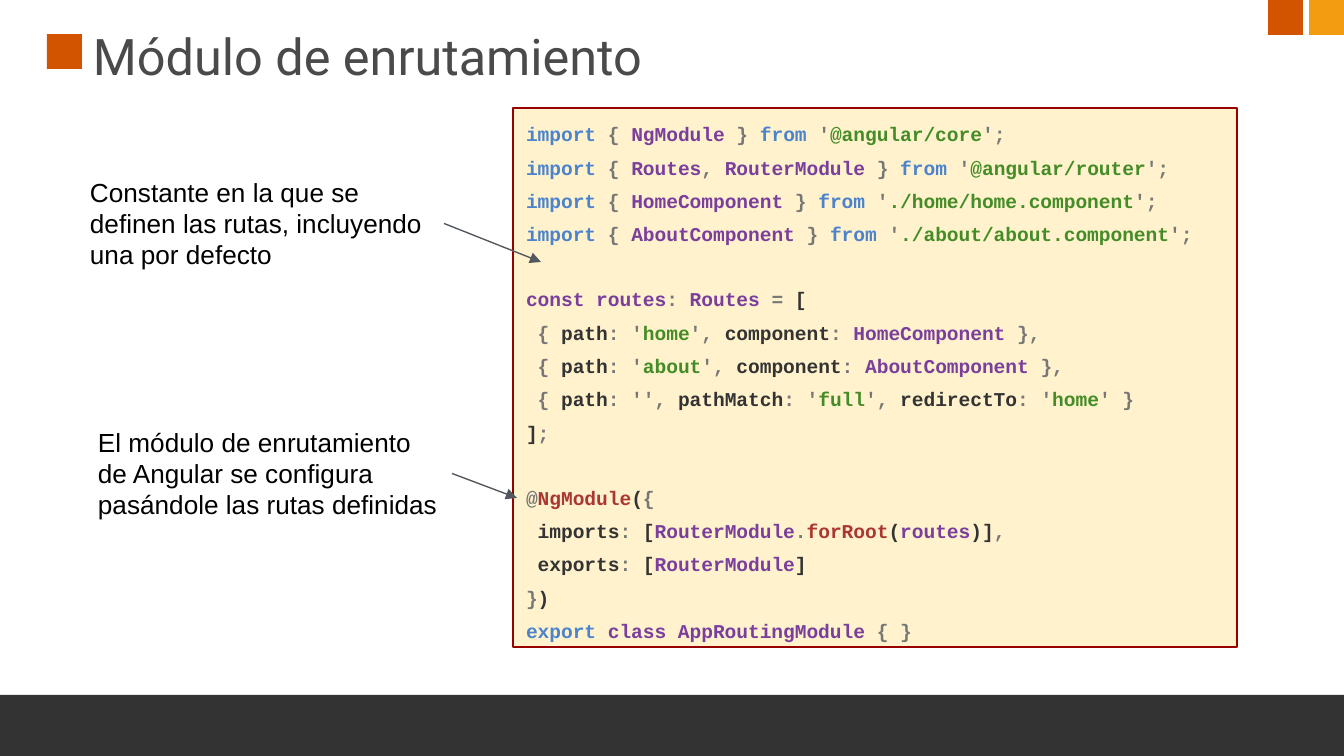
from pptx import Presentation
from pptx.dml.color import RGBColor
from pptx.enum.shapes import MSO_CONNECTOR, MSO_SHAPE
from pptx.enum.text import MSO_ANCHOR, MSO_AUTO_SIZE, PP_ALIGN
from pptx.oxml.ns import qn
from pptx.util import Emu, Pt
from lxml.etree import SubElement

ORANGE, AMBER, DARK = "D35400", "F39C12", "333333"
KEY, NAME, STRING, CALL, MARK = "4B83CD", "7A3E9D", "448C27", "AA3731", "777777"
CODE_SIZE, CODE_SPACING, CODE_GAP = 10.5, 1.42, 17


def px(n):
    """Turn pixels into EMU."""
    return Emu(round(n * 914400 / 134.4))


def rgb(value):
    """Turn a hex string into a colour."""
    return RGBColor.from_string(value)


def add_run(p, text, font="Arial", size=14, color="000000", bold=False):
    """Append a formatted run to a paragraph."""
    r = p.add_run()
    r.text = text
    r.font.name = font
    r.font.size = Pt(size)
    r.font.bold = bold
    r.font.color.rgb = rgb(color)


def set_frame(tf, inset, anchor):
    """Set wrapping, insets and anchor of a text frame."""
    tf.word_wrap = True
    tf.auto_size = MSO_AUTO_SIZE.NONE
    tf.vertical_anchor = anchor
    tf.margin_left = tf.margin_right = tf.margin_top = tf.margin_bottom = px(inset)


def add_rect(s, x, y, w, h, fill, line=None):
    """Add a flat rectangle, outlined if a line colour is given."""
    sp = s.shapes.add_shape(MSO_SHAPE.RECTANGLE, px(x), px(y), px(w), px(h))
    sp.shadow.inherit = False
    sp.fill.solid()
    sp.fill.fore_color.rgb = rgb(fill)
    if line:
        sp.line.color.rgb = rgb(line)
        sp.line.width = Pt(0.75)
    else:
        sp.line.fill.background()
    return sp


def set_title(s, text):
    """Place and format the title placeholder."""
    sp = s.shapes.title
    sp.left, sp.top, sp.width, sp.height = px(85), px(16), px(1152), px(79)
    set_frame(sp.text_frame, 8, MSO_ANCHOR.MIDDLE)
    p = sp.text_frame.paragraphs[0]
    p.alignment = PP_ALIGN.LEFT
    add_run(p, text, font="Roboto", size=27, color="4A4A4A")


def add_note(s, x, y, text, tip):
    """Add a note with an arrow from its right side to the tip."""
    sp = s.shapes.add_textbox(px(x), px(y), px(367), px(121))
    set_frame(sp.text_frame, 13, MSO_ANCHOR.TOP)
    add_run(sp.text_frame.paragraphs[0], text)
    arrow = s.shapes.add_connector(MSO_CONNECTOR.STRAIGHT, 0, 0, px(tip[0]), px(tip[1]))
    arrow.begin_connect(sp, 3)
    arrow.line.color.rgb = rgb("53585F")
    arrow.line.width = Pt(0.75)
    SubElement(arrow.line._get_or_add_ln(), qn("a:tailEnd"), type="triangle")
    SubElement(arrow._element.spPr, qn("a:effectLst"))


def import_line(names, source):
    """Return the coloured pieces of an import statement."""
    pieces = [("import ", KEY), ("{ ", MARK)]
    for i, name in enumerate(names):
        if i:
            pieces.append((", ", MARK))
        pieces.append((name, NAME))
    return pieces + [(" } ", MARK), ("from ", KEY), ("'", MARK), (source, STRING), ("';", MARK)]


def route_line(route, component):
    """Return the coloured pieces of a route entry."""
    return [(" {", MARK), (" path", DARK), (": '", MARK), (route, STRING), ("',", MARK),
            (" component", DARK), (": ", MARK), (component, NAME), (" },", MARK)]


def code_blocks():
    """Return the blocks of code, each a list of coloured lines."""
    imports = [
        import_line(["NgModule"], "@angular/core"),
        import_line(["Routes", "RouterModule"], "@angular/router"),
        import_line(["HomeComponent"], "./home/home.component"),
        import_line(["AboutComponent"], "./about/about.component"),
    ]
    routes = [
        [("const routes", NAME), (": ", MARK), ("Routes ", NAME), ("=", MARK), (" [", DARK)],
        route_line("home", "HomeComponent"),
        route_line("about", "AboutComponent"),
        [(" {", MARK), (" path", DARK), (": '',", MARK), (" pathMatch", DARK), (": '", MARK),
         ("full", STRING), ("',", MARK), (" redirectTo", DARK), (": '", MARK),
         ("home", STRING), ("' }", MARK)],
        [("]", DARK), (";", MARK)],
    ]
    module = [
        [("@", MARK), ("NgModule", CALL), ("(", DARK), ("{", MARK)],
        [(" imports", DARK), (":", MARK), (" [", DARK), ("RouterModule", NAME), (".", MARK),
         ("forRoot", CALL), ("(", DARK), ("routes", NAME), (")]", DARK), (",", MARK)],
        [(" exports", DARK), (":", MARK), (" [", DARK), ("RouterModule", NAME), ("]", DARK)],
        [("}", MARK), (")", DARK)],
        [("export ", KEY), ("class AppRoutingModule ", NAME), ("{ }", MARK)],
    ]
    return [imports, routes, module]


def add_code(s, blocks):
    """Add the code panel with a gap between blocks."""
    tf = add_rect(s, 513, 108, 724, 539, "FFF2CC", line="980000").text_frame
    set_frame(tf, 13, MSO_ANCHOR.MIDDLE)
    p = tf.paragraphs[0]
    for b, block in enumerate(blocks):
        for i, pieces in enumerate(block):
            if b or i:
                p = tf.add_paragraph()
            p.alignment = PP_ALIGN.LEFT
            p.line_spacing = CODE_SPACING
            if b and not i:
                p.space_before = Pt(CODE_GAP)
            for text, color in pieces:
                add_run(p, text, font="Courier New", size=CODE_SIZE, color=color, bold=True)


def main():
    """Build the slide and save it."""
    prs = Presentation()
    prs.slide_width, prs.slide_height = px(1344), px(756)
    s = prs.slides.add_slide(prs.slide_layouts[5])
    for x, y, color in [(47, 34, ORANGE), (1268, 0, ORANGE), (1309, 0, AMBER)]:
        add_rect(s, x, y, 35, 35, color)
    add_rect(s, -4, 695, 1351, 62, DARK)
    set_title(s, "Módulo de enrutamiento")
    add_code(s, code_blocks())
    add_note(s, 77, 163, "Constante en la que se definen las rutas, incluyendo una por defecto",
             (541, 262))
    add_note(s, 85, 413, "El módulo de enrutamiento de Angular se configura pasándole las rutas definidas",
             (517, 498))
    prs.save("out.pptx")


if __name__ == "__main__":
    main()
